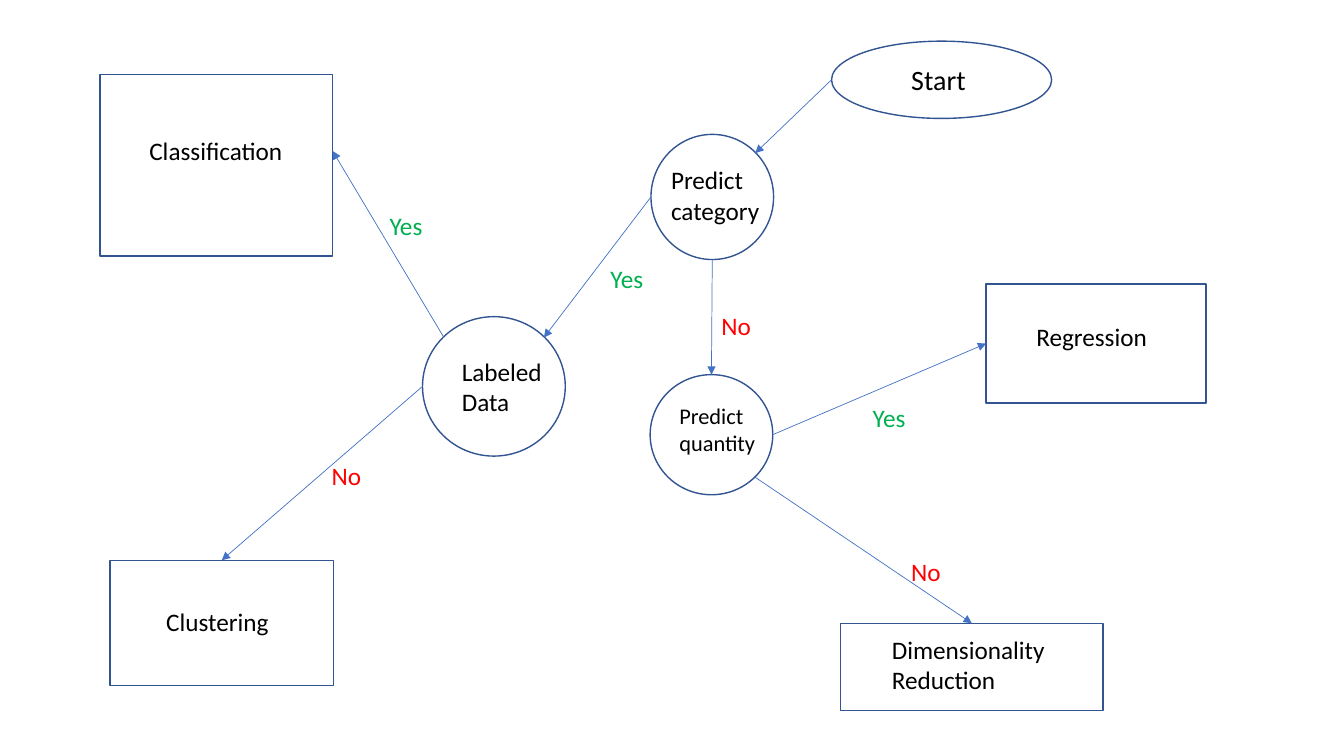
import dataclasses

import lxml.etree
import pptx
import pptx.dml.color
import pptx.enum.shapes
import pptx.enum.text
import pptx.oxml.ns
import pptx.util

COLORS = {
    "paper": "FFFFFF",
    "outline": "325491",
    "arrow": "4472C4",
    "text": "000000",
    "Yes": "00B050",
    "No": "FF0000",
}
FONT = "Calibri"
WIDTH, HEIGHT = pptx.util.Inches(13.333), pptx.util.Inches(7.5)
COLUMNS, ROWS = 160, 90
ELLIPSE = pptx.enum.shapes.MSO_SHAPE.OVAL
BOX = pptx.enum.shapes.MSO_SHAPE.RECTANGLE

# Points on a node's edge, as shares of its width and height.
NEAR, FAR = 0.15, 0.85
ANCHORS = {
    "left": (0, 0.5), "right": (1, 0.5), "top": (0.5, 0), "bottom": (0.5, 1),
    "upper left": (NEAR, NEAR), "upper right": (FAR, NEAR),
    "lower right": (FAR, FAR), "upper side": (1, 0.42),
}


@dataclasses.dataclass(frozen=True)
class Area:
    """A rectangle in grid columns and rows."""
    column: float
    row: float
    columns: float
    rows: float

    def anchor(self, name: str) -> tuple[float, float]:
        """Return the grid position of a named edge point."""
        across, down = ANCHORS[name]
        return self.column + across * self.columns, self.row + down * self.rows

    def lengths(self) -> tuple[int, int, int, int]:
        """Return left, top, width and height on the slide."""
        return (*place(self.column, self.row), *place(self.columns, self.rows))


@dataclasses.dataclass(frozen=True)
class Node:
    """A flowchart step with its caption."""
    preset: int
    area: Area
    caption: str
    caption_area: Area
    size: int = 18


@dataclasses.dataclass(frozen=True)
class Branch:
    """An arrow between two nodes, with an optional answer beside it."""
    source: str
    source_anchor: str
    target: str
    target_anchor: str
    answer: str = ""
    column: float = 0
    row: float = 0


NODES = {
    "start": Node(ELLIPSE, Area(99, 4.9, 26.2, 9.2), "Start",
                  Area(107.3, 6.8, 9.7, 5.3), 20),
    "category": Node(ELLIPSE, Area(77.5, 16, 14.6, 14.9), "Predict category",
                     Area(78.7, 19, 20.8, 8.5)),
    "regression": Node(BOX, Area(117.4, 33.8, 26.2, 14.2), "Regression",
                       Area(122.2, 37.7, 29, 4.8)),
    "labeled": Node(ELLIPSE, Area(50.3, 37.7, 17, 16.6), "Labeled\nData",
                    Area(53.8, 41.8, 23.5, 8.5)),
    "classification": Node(BOX, Area(11.9, 8.9, 27.7, 21.6), "Classification",
                           Area(16.6, 15.5, 23.3, 4.8)),
    "clustering": Node(BOX, Area(13.1, 66.7, 26.6, 14.9), "Clustering",
                       Area(18.6, 71.6, 21, 4.8)),
    "quantity": Node(ELLIPSE, Area(77.4, 44.6, 14.6, 14.3), "Predict\nquantity",
                     Area(79.7, 47.3, 11.9, 7.7), 16),
    "reduction": Node(BOX, Area(100.1, 74.2, 31.2, 10.4),
                      "Dimensionality Reduction", Area(105, 74.9, 26.4, 8.5)),
}
BRANCHES = [
    Branch("start", "left", "category", "upper right"),
    Branch("category", "left", "labeled", "upper right", "Yes", 71.5, 30.8),
    Branch("category", "bottom", "quantity", "top", "No", 84.7, 36.4),
    Branch("labeled", "upper left", "classification", "upper side", "Yes", 45.2, 24.4),
    Branch("labeled", "left", "clustering", "top", "No", 38.3, 54.2),
    Branch("quantity", "right", "regression", "left", "Yes", 102.7, 47.3),
    Branch("quantity", "lower right", "reduction", "top", "No", 107.3, 65.6),
]


def place(column: float, row: float) -> tuple[int, int]:
    """Turn grid columns and rows into slide lengths."""
    return round(WIDTH * column / COLUMNS), round(HEIGHT * row / ROWS)


def color(name: str) -> pptx.dml.color.RGBColor:
    """Look up a named colour."""
    return pptx.dml.color.RGBColor.from_string(COLORS[name])


def add_text(slide: pptx.slide.Slide, area: Area, text: str, size: int,
             color_name: str) -> None:
    """Add a wrapping text box in one font, size and colour."""
    text_frame = slide.shapes.add_textbox(*area.lengths()).text_frame
    text_frame.text = text
    text_frame.word_wrap = True
    text_frame.auto_size = pptx.enum.text.MSO_AUTO_SIZE.SHAPE_TO_FIT_TEXT
    for paragraph in text_frame.paragraphs:
        for run in paragraph.runs:
            run.font.name = FONT
            run.font.size = pptx.util.Pt(size)
            run.font.color.rgb = color(color_name)


def add_node(slide: pptx.slide.Slide, node: Node) -> None:
    """Draw a step's outline and its caption."""
    shape = slide.shapes.add_shape(node.preset, *node.area.lengths())
    shape.shadow.inherit = False
    shape.fill.solid()
    shape.fill.fore_color.rgb = color("paper")
    shape.line.color.rgb = color("outline")
    shape.line.width = pptx.util.Pt(1)
    add_text(slide, node.caption_area, node.caption, node.size, "text")


def add_branch(slide: pptx.slide.Slide, branch: Branch) -> None:
    """Draw an arrow between two steps and the answer beside it."""
    begin = NODES[branch.source].area.anchor(branch.source_anchor)
    end = NODES[branch.target].area.anchor(branch.target_anchor)
    connector = slide.shapes.add_connector(
        pptx.enum.shapes.MSO_CONNECTOR.STRAIGHT, *place(*begin), *place(*end))
    connector.line.color.rgb = color("arrow")
    connector.line.width = pptx.util.Pt(0.5)
    qualify = pptx.oxml.ns.qn
    properties = connector.element.spPr
    line = properties.find(qualify("a:ln"))
    lxml.etree.SubElement(line, qualify("a:tailEnd"), type="triangle")
    lxml.etree.SubElement(properties, qualify("a:effectLst"))
    if branch.answer:
        area = Area(branch.column, branch.row, 8.4, 4.8)
        add_text(slide, area, branch.answer, 18, branch.answer)


def main() -> None:
    """Build and save the flowchart slide."""
    presentation = pptx.Presentation()
    presentation.slide_width, presentation.slide_height = WIDTH, HEIGHT
    blank_layout = presentation.slide_layouts[6]
    slide = presentation.slides.add_slide(blank_layout)
    for node in NODES.values():
        add_node(slide, node)
    for branch in BRANCHES:
        add_branch(slide, branch)
    presentation.save("out.pptx")


main()
